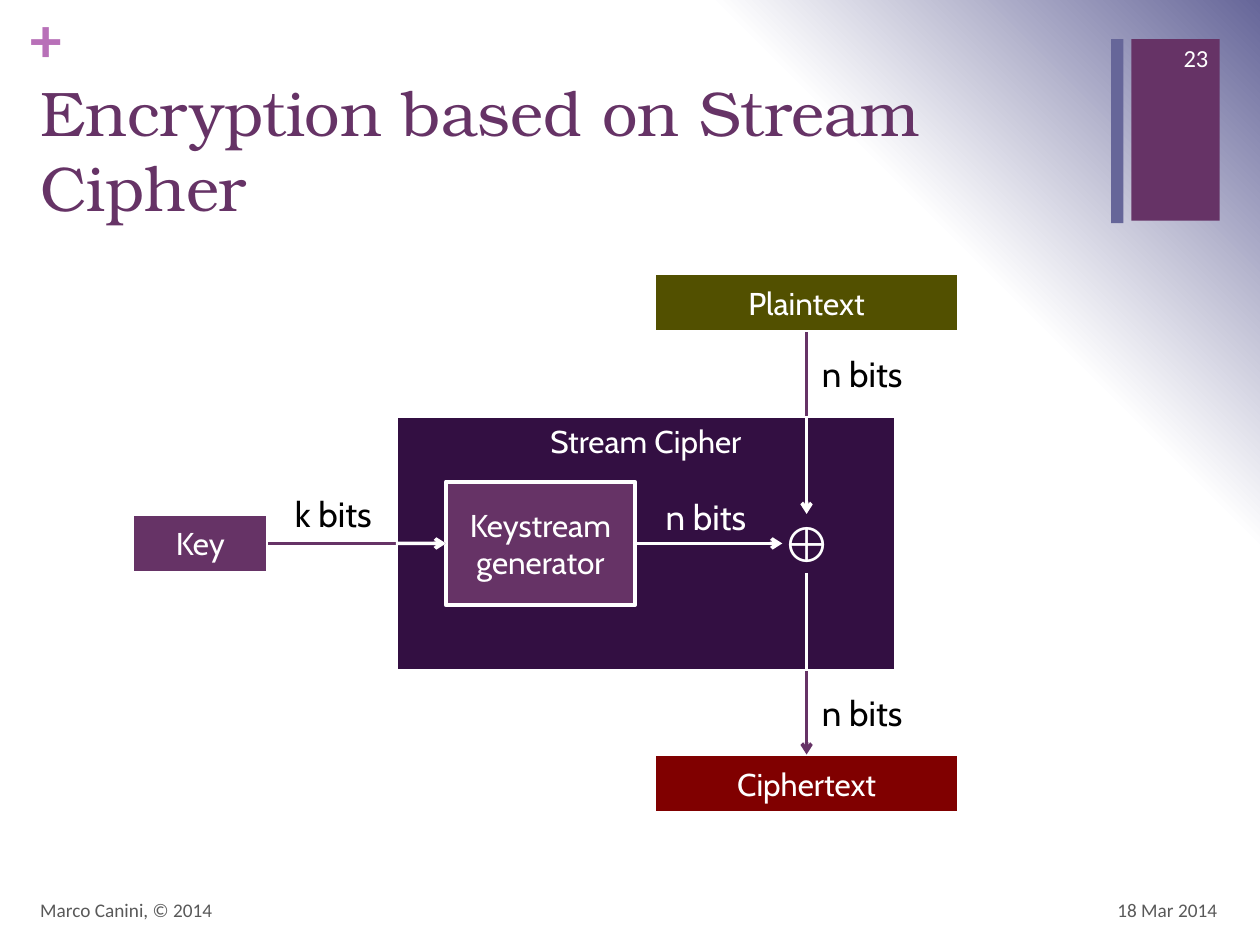
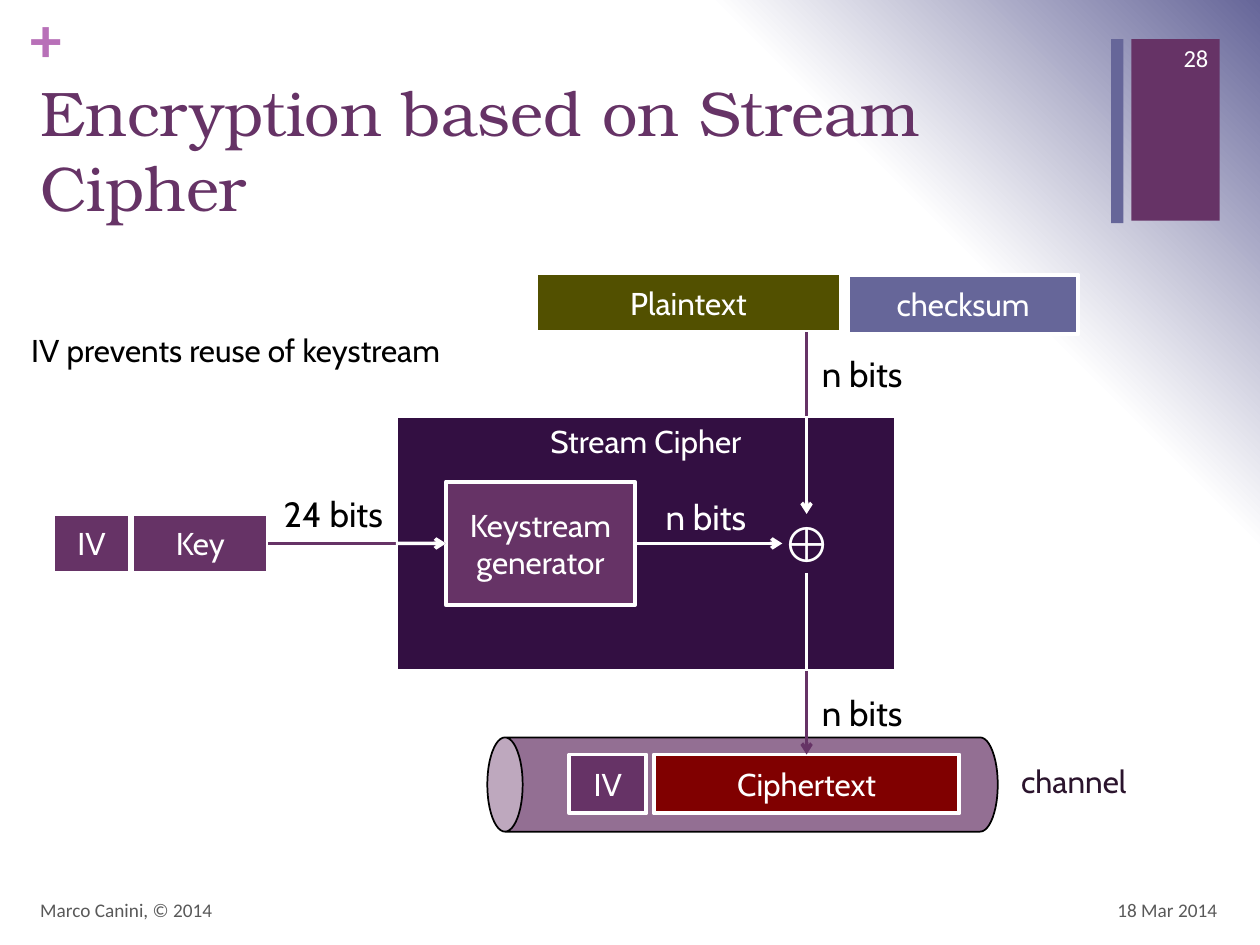
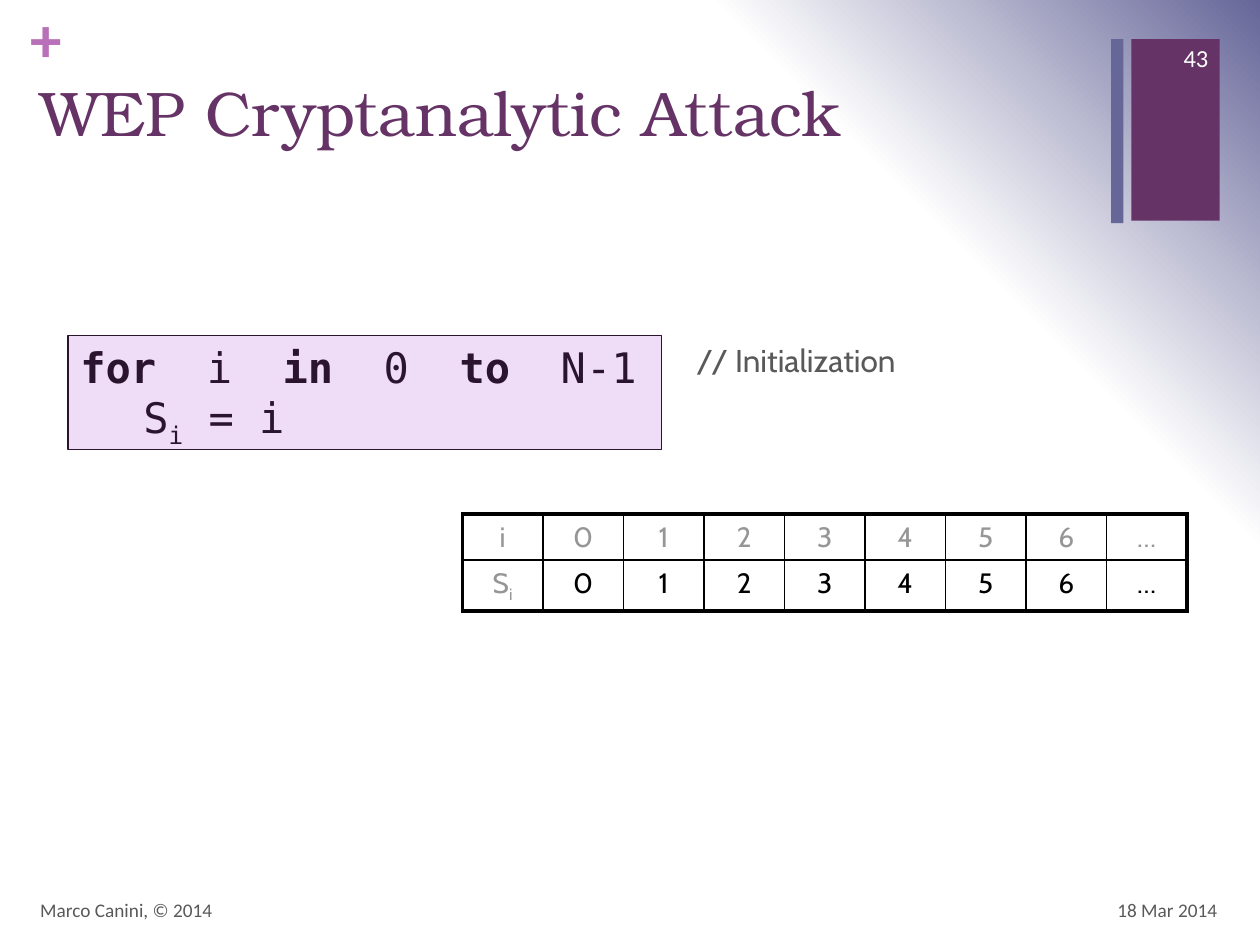
from dataclasses import dataclass

from pptx import Presentation
from pptx.dml.color import RGBColor
from pptx.enum.shapes import MSO_CONNECTOR as Link, MSO_SHAPE as Preset
from pptx.enum.text import MSO_ANCHOR as Anchor, PP_ALIGN as Align
from pptx.oxml import parse_xml
from pptx.oxml.ns import nsdecls, qn
from pptx.oxml.xmlchemy import OxmlElement
from pptx.util import Cm, Pt

COLORS = {
    "plum": "663366",
    "slate": "666699",
    "orchid": "B870B8",
    "night": "330F42",
    "olive": "525000",
    "maroon": "800000",
    "lilac": "EFDCF7",
    "ink": "2B142D",
    "gray": "595959",
    "silver": "969696",
    "black": "000000",
    "white": "FFFFFF",
}
TITLE_FONT, FOOTER_FONT, CODE_FONT = "TeX Gyre Bonum", "Calibri", "DejaVu Sans Mono"


@dataclass
class Box:
    left: float
    top: float
    width: float
    height: float

    def point(self, x, y):
        return Cm(self.left + x), Cm(self.top + y)

    def area(self, x, y, width, height):
        return *self.point(x, y), Cm(width), Cm(height)


WHOLE = Box(0, 0, 25.4, 19.05)
DIAGRAM = Box(0.38, 5.51, 22.41, 11.25)
ATTACK = Box(1.37, 6.76, 22.56, 5.55)


def rgb(name):
    return RGBColor.from_string(COLORS[name])


def add_span(para, text, size=18, color="white", font="Cabin", bold=False, subscript=False):
    span = para.add_run()
    span.text = text
    span.font.size = Pt(size)
    span.font.name = font
    span.font.bold = bold
    span.font.color.rgb = rgb(color)
    if subscript:
        span.font._element.set("baseline", "-25000")


def write(frame, text, align=Align.LEFT, anchor=Anchor.TOP, wrap=True, inset=None, **style):
    frame.word_wrap = wrap
    frame.vertical_anchor = anchor
    if inset is not None:
        frame.margin_left = frame.margin_right = Cm(inset)
        frame.margin_top = frame.margin_bottom = Cm(inset)
    para = frame.paragraphs[0]
    para.alignment = align
    add_span(para, text, **style)


def add_label(page, area, text, **style):
    label = page.shapes.add_textbox(*area)
    write(label.text_frame, text, **style)
    return label


def add_block(page, area, fill, text="", line="white", weight=2.25,
              preset=Preset.RECTANGLE, anchor=Anchor.MIDDLE):
    block = page.shapes.add_shape(preset, *area)
    block.shadow.inherit = False
    block.fill.solid()
    block.fill.fore_color.rgb = rgb(fill)
    if line:
        block.line.color.rgb = rgb(line)
        block.line.width = Pt(weight)
    else:
        block.line.fill.background()
    if text:
        write(block.text_frame, text, align=Align.CENTER, anchor=anchor)
    return block


def add_arrow(page, color, start=(0, 0), end=(0, 0), source=None, target=None, head=True):
    arrow = page.shapes.add_connector(Link.STRAIGHT, *start, *end)
    if source:
        arrow.begin_connect(*source)
    if target:
        arrow.end_connect(*target)
    arrow.line.color.rgb = rgb(color)
    arrow.line.width = Pt(2)
    if head:
        tail = OxmlElement("a:tailEnd")
        tail.set("type", "arrow")
        arrow.line._get_or_add_ln().append(tail)
    arrow._element.spPr.append(OxmlElement("a:effectLst"))


def set_background(page):
    stops = "".join(
        f'<a:gs pos="{share}000"><a:srgbClr val="{COLORS[name]}"/></a:gs>'
        for share, name in ((0, "white"), (75, "white"), (100, "slate"))
    )
    page.element.cSld.insert(0, parse_xml(
        f'<p:bg {nsdecls("p", "a")}><p:bgPr><a:gradFill rotWithShape="1">'
        f'<a:gsLst>{stops}</a:gsLst><a:path path="circle">'
        '<a:fillToRect t="100000" r="100000"/></a:path></a:gradFill>'
        '<a:effectLst/></p:bgPr></p:bg>'
    ))


def add_page(deck, box, title, number):
    page = deck.slides.add_slide(deck.slide_layouts[6])
    set_background(page)
    add_block(page, box.area(22.81, 0.79, 1.78, 3.66), "plum", line=None)
    add_label(page, box.area(0.61, 0, 0.74, 1.55), "+", inset=0, size=36,
              color="orchid", font=FOOTER_FONT, bold=True)
    add_block(page, box.area(22.4, 0.79, 0.25, 3.71), "slate", line=None)
    add_label(page, box.area(0.56, 1.35, 21.82, 3.1), title, size=36,
              color="plum", font=TITLE_FONT)
    footer = dict(anchor=Anchor.MIDDLE, font=FOOTER_FONT)
    add_label(page, box.area(18.87, 17.83, 5.92, 1.02), "18 Mar 2014",
              align=Align.RIGHT, size=11, color="gray", **footer)
    add_label(page, box.area(0.56, 17.83, 17.02, 1.02), "Marco Canini, © 2014",
              size=11, color="gray", **footer)
    add_label(page, box.area(23.06, 0.66, 1.55, 1.02), number,
              align=Align.RIGHT, size=14, **footer)
    return page


def draw_channel(page, box):
    pipe = add_block(page, box.area(13.64, 5.16, 1.9, 10.29), "plum", line="black",
                     weight=1, preset=Preset.CAN)
    pipe.rotation = 270
    pipe.adjustments[0] = 0.375
    alpha = OxmlElement("a:alpha")
    alpha.set("val", "70000")
    pipe._element.spPr.find(qn("a:solidFill"))[0].append(alpha)
    add_label(page, box.area(19.74, 9.73, 3.05, 1.02), "channel",
              align=Align.CENTER, color="ink")


def draw_cipher(page, box, key_bits, plaintext_left=12.8):
    axis = 15.88
    cipher = add_block(page, box.area(7.6, 2.87, 10.08, 5.15), "night", "Stream Cipher",
                       anchor=Anchor.TOP)
    ciphertext = add_block(page, box.area(12.8, 9.7, 6.16, 1.19), "maroon", "Ciphertext")
    add_block(page, box.area(plaintext_left, 0, 6.16, 1.19), "olive", "Plaintext")
    key = add_block(page, box.area(2.29, 4.85, 2.74, 1.19), "plum", "Key")
    generator = add_block(page, box.area(8.61, 4.2, 3.81, 2.49), "plum", "Keystream generator")
    xor = add_label(page, box.area(15.39, 4.85, 0.98, 1.19), "⊕", align=Align.CENTER,
                    wrap=False, inset=0, size=28, font="Times New Roman")

    for x, y, width, text, color in (
        (axis, 1.48, 2.24, "n bits", "black"),
        (axis, 8.31, 2.24, "n bits", "black"),
        (5.03, 4.29, 2.62, key_bits, "black"),
        (12.73, 4.35, 2.24, "n bits", "white"),
    ):
        add_label(page, box.area(x, y, width, 1.12), text, align=Align.CENTER,
                  wrap=False, size=20, color=color)

    add_arrow(page, "plum", start=box.point(axis, 1.19), target=(xor, 0))
    add_arrow(page, "plum", source=(xor, 2), target=(ciphertext, 0))
    add_arrow(page, "plum", source=(key, 3), target=(generator, 1))
    add_arrow(page, "white", source=(generator, 3), target=(xor, 1))
    add_arrow(page, "white", start=box.point(axis, 2.87), target=(xor, 0))
    add_arrow(page, "white", source=(xor, 2), end=box.point(axis, 8.02), head=False)
    add_arrow(page, "white", source=(cipher, 1), target=(generator, 1))


def draw_vector_parts(page, box):
    add_label(page, box.area(0, 1.04, 9.32, 1.27), "IV prevents reuse of keystream",
              color="black")
    for x, y in ((0.69, 4.85), (11.1, 9.7)):
        add_block(page, box.area(x, y, 1.55, 1.19), "plum", "IV")
    add_block(page, box.area(16.71, 0.03, 4.65, 1.19), "slate", "checksum")


def draw_code(page, box):
    panel = add_block(page, box.area(0, 0, 11.96, 2.31), "lilac", line="ink", weight=0.75)
    frame = panel.text_frame
    frame.word_wrap = True
    frame.vertical_anchor = Anchor.TOP
    style = dict(size=24, color="ink", font=CODE_FONT)
    loop = frame.paragraphs[0]
    loop.alignment = Align.LEFT
    for text, bold in (("for  ", True), ("i  ", False), ("in", True),
                       ("  0  ", False), ("to  ", True), ("N-1", False)):
        add_span(loop, text, bold=bold, **style)
    body = frame.add_paragraph()
    body.alignment = Align.LEFT
    body._p.get_or_add_pPr().set("marL", str(Cm(1.27)))
    for text, subscript in (("S", False), ("i", True), (" = i", False)):
        add_span(body, text, subscript=subscript, **style)
    add_label(page, box.area(12.42, 0, 4.62, 1.02), "// Initialization",
              wrap=False, color="gray")


def set_borders(cell, weights):
    properties = cell._tc.get_or_add_tcPr()
    for place, (side, weight) in enumerate(zip("LRTB", weights)):
        properties.insert(place, parse_xml(
            f'<a:ln{side} {nsdecls("a")} w="{Pt(weight)}"><a:solidFill>'
            f'<a:srgbClr val="{COLORS["black"]}"/></a:solidFill></a:ln{side}>'
        ))


def draw_state_table(page, box):
    values = [*map(str, range(7)), "…"]
    rows = [["i", *values], ["S", *values]]
    last_row, last_column = len(rows) - 1, len(values)
    table = page.shapes.add_table(len(rows), len(values) + 1,
                                  *box.area(7.95, 3.6, 14.61, 1.95)).table
    table.first_row = table.horz_banding = False
    for column in table.columns:
        column.width = Cm(14.61 / (last_column + 1))
    for row, height in zip(table.rows, (0.93, 1.02)):
        row.height = Cm(height)
    for r, texts in enumerate(rows):
        for c, text in enumerate(texts):
            cell = table.cell(r, c)
            color = "black" if r and c else "silver"
            cell.fill.background()
            edges = (c == 0, c == last_column, r == 0, r == last_row)
            set_borders(cell, [2.25 if edge else 1 for edge in edges])
            para = cell.text_frame.paragraphs[0]
            para.alignment = Align.CENTER
            add_span(para, text, size=16, color=color)
            if text == "S":
                add_span(para, "i", size=16, color=color, subscript=True)


def main():
    deck = Presentation()
    deck.slide_width, deck.slide_height = Cm(WHOLE.width), Cm(WHOLE.height)

    cipher_title = "Encryption based on Stream Cipher"
    draw_cipher(add_page(deck, WHOLE, cipher_title, "23"), DIAGRAM, "k bits")

    page = add_page(deck, WHOLE, cipher_title, "28")
    draw_channel(page, DIAGRAM)
    draw_cipher(page, DIAGRAM, "24 bits", plaintext_left=10.42)
    draw_vector_parts(page, DIAGRAM)

    page = add_page(deck, WHOLE, "WEP Cryptanalytic Attack", "43")
    draw_code(page, ATTACK)
    draw_state_table(page, ATTACK)

    deck.save("out.pptx")


if __name__ == "__main__":
    main()
